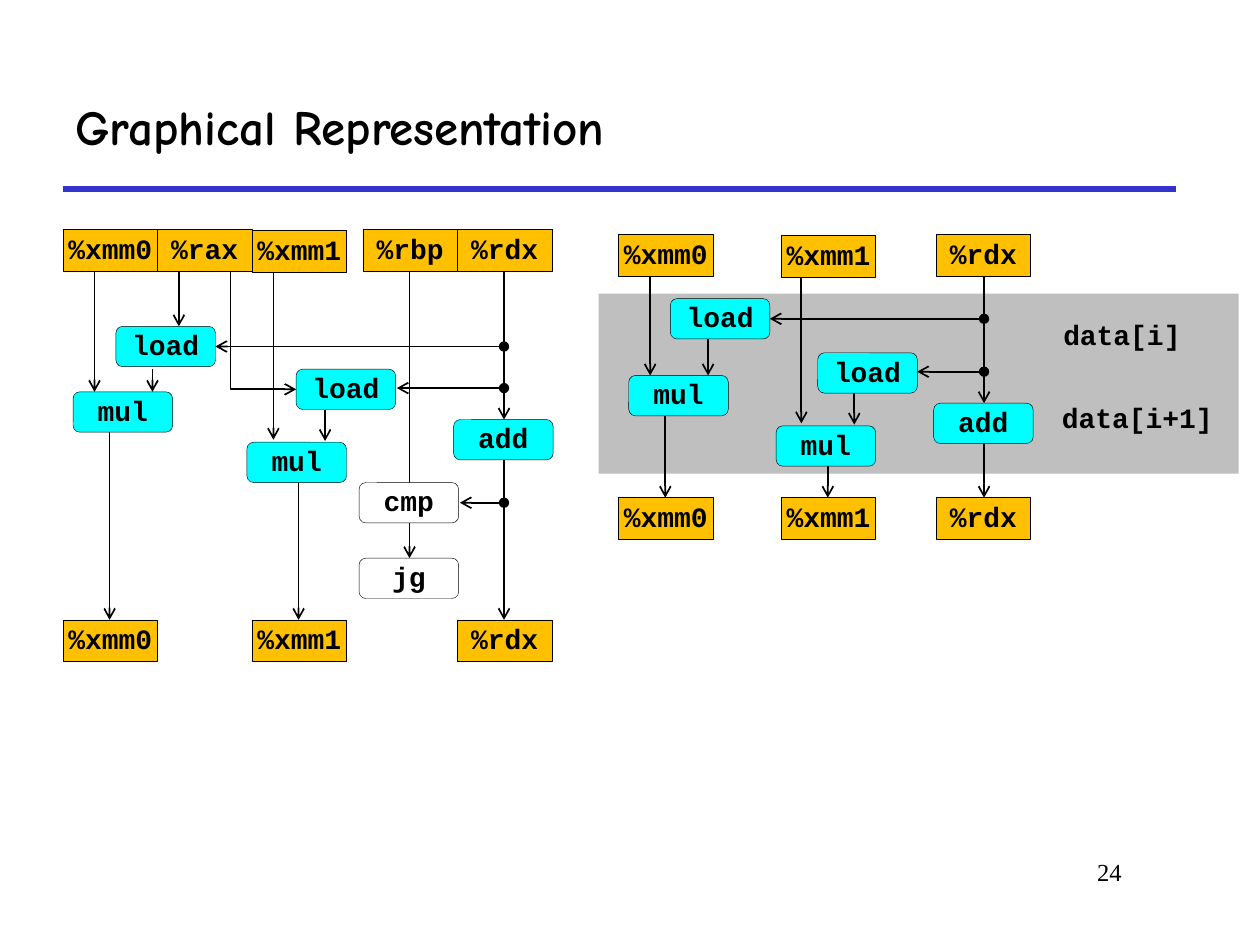
from lxml import etree
from pptx import Presentation
from pptx.dml.color import RGBColor
from pptx.enum import shapes, text
from pptx.oxml import ns
from pptx.util import Inches, Pt

BLACK = RGBColor(0x00, 0x00, 0x00)
WHITE = RGBColor(0xFF, 0xFF, 0xFF)
BLUE = RGBColor(0x33, 0x33, 0xCC)
GRAY = RGBColor(0xBF, 0xBF, 0xBF)
GOLD = RGBColor(0xFF, 0xC0, 0x00)
CYAN = RGBColor(0x00, 0xFF, 0xFF)
RECT = shapes.MSO_SHAPE.RECTANGLE
ROUND = shapes.MSO_SHAPE.ROUNDED_RECTANGLE
LINE = shapes.MSO_CONNECTOR.STRAIGHT
ELBOW = shapes.MSO_CONNECTOR.ELBOW
LEFT, MID, RIGHT = text.PP_ALIGN.LEFT, text.PP_ALIGN.CENTER, text.PP_ALIGN.RIGHT

deck = Presentation()
deck.slide_width, deck.slide_height = Inches(10), Inches(7.5)
slide = deck.slides.add_slide(deck.slide_layouts[6])


def link(x1, y1, x2, y2, ends="", kind=LINE, color=BLACK, width=1):
    wire = slide.shapes.add_connector(
        kind, Inches(x1), Inches(y1), Inches(x2), Inches(y2))
    wire.line.color.rgb = color
    wire.line.width = Pt(width)
    stroke = wire.line._get_or_add_ln()
    if "o" in ends:
        etree.SubElement(stroke, ns.qn("a:headEnd"), type="oval")
    if ">" in ends:
        etree.SubElement(stroke, ns.qn("a:tailEnd"), type="arrow")
    etree.SubElement(wire._element.spPr, ns.qn("a:effectLst"))
    return wire


def write(shape, words, font="Courier New", size=16, bold=True, align=LEFT, space=0.9):
    para = shape.text_frame.paragraphs[0]
    para.text = words
    para.alignment = align
    para.line_spacing = space
    para.font.name = font
    para.font.size = Pt(size)
    para.font.bold = bold
    para.font.color.rgb = BLACK


link(0.5, 1.5, 9.33, 1.5, color=BLUE, width=3)

panel = slide.shapes.add_shape(RECT, Inches(4.75), Inches(2.33), Inches(5.08), Inches(1.43))
panel.shadow.inherit = False
panel.fill.solid()
panel.fill.fore_color.rgb = GRAY
panel.line.fill.background()

for words, x, y, w in [("data[i]", 8.34, 2.5, 1.21), ("data[i+1]", 8.33, 3.16, 1.46)]:
    note = slide.shapes.add_textbox(Inches(x), Inches(y), Inches(w), Inches(0.34))
    note.text_frame.auto_size = text.MSO_AUTO_SIZE.SHAPE_TO_FIT_TEXT
    write(note, words)

title = slide.shapes.add_textbox(Inches(0.5), Inches(0.5), Inches(8.83), Inches(1))
title.text_frame.word_wrap = True
title.text_frame.vertical_anchor = text.MSO_ANCHOR.MIDDLE
write(title, "Graphical Representation", "Comic Neue", 28, space=1)

page = slide.shapes.add_textbox(Inches(7.58), Inches(6.75), Inches(1.42), Inches(0.5))
page.text_frame.word_wrap = True
write(page, "24", "Times New Roman", 14, False, RIGHT, 1)

wires = [
    (0.75, 2.15, 0.75, 3.11, ">"), (1.42, 2.15, 1.42, 2.59, ">"),
    (1.21, 2.93, 1.21, 3.11, ">"), (0.87, 3.43, 0.87, 4.92, ">"),
    (2.17, 2.15, 2.17, 3.49, ">"), (2.58, 3.25, 2.58, 3.5, ">"),
    (2.37, 3.76, 2.37, 4.92, ">"), (3.25, 2.15, 3.25, 3.83, ""),
    (3.25, 4.15, 3.25, 4.43, ">"), (4, 2.15, 4, 3.33, ">"),
    (4, 3.65, 4, 4.92, ">"), (4, 2.75, 1.71, 2.75, "o>"),
    (4, 3.08, 3.15, 3.08, "o>"), (4, 3.99, 3.65, 3.99, "o>"),
    (5.16, 2.2, 5.16, 2.98, ">"), (5.62, 2.69, 5.62, 2.98, ">"),
    (5.28, 3.12, 5.28, 3.95, ">"), (6.36, 2.2, 6.36, 3.36, ">"),
    (6.78, 3.11, 6.78, 3.37, ">"), (6.57, 3.53, 6.57, 3.95, ">"),
    (7.81, 2.2, 7.81, 3.2, ">"), (7.81, 3.52, 7.81, 3.95, ">"),
    (7.81, 2.53, 6.11, 2.53, "o>"), (7.81, 2.95, 7.28, 2.95, "o>"),
]
for wire in wires:
    link(*wire)

bend = link(1.62, 2.36, 2.56, 2.88, ">", ELBOW)
bend._element.spPr.find(ns.qn("a:prstGeom")).set("prst", "bentConnector2")
frame = bend._element.spPr.find(ns.qn("a:xfrm"))
frame.set("rot", str(270 * 60000))
frame.set("flipH", "1")

regs = [
    ("%xmm0", 0.5, 1.82), ("%rax", 1.25, 1.82), ("%xmm1", 2, 1.83),
    ("%rbp", 2.88, 1.82), ("%rdx", 3.63, 1.82),
    ("%xmm0", 0.5, 4.92), ("%xmm1", 2, 4.92), ("%rdx", 3.63, 4.92),
    ("%xmm0", 4.91, 1.86), ("%xmm1", 6.2, 1.87), ("%rdx", 7.43, 1.86),
    ("%xmm0", 4.91, 3.95), ("%xmm1", 6.2, 3.95), ("%rdx", 7.43, 3.95),
]
steps = [
    ("load", 0.92, 2.59), ("mul", 0.58, 3.11), ("load", 2.35, 2.93),
    ("mul", 1.96, 3.51), ("add", 3.6, 3.33),
    ("load", 5.32, 2.37), ("mul", 4.99, 2.98), ("load", 6.49, 2.8),
    ("mul", 6.16, 3.38), ("add", 7.41, 3.2),
]
tests = [("cmp", 2.85, 3.83), ("jg", 2.85, 4.43)]
groups = [
    (regs, RECT, GOLD, 0.75, 0.33),
    (steps, ROUND, CYAN, 0.79, 0.32),
    (tests, ROUND, WHITE, 0.79, 0.32),
]
for nodes, form, color, w, h in groups:
    for words, x, y in nodes:
        box = slide.shapes.add_shape(form, Inches(x), Inches(y), Inches(w), Inches(h))
        box.shadow.inherit = False
        box.fill.solid()
        box.fill.fore_color.rgb = color
        box.line.color.rgb = BLACK
        box.line.width = Pt(0.25)
        body = box.text_frame
        body.margin_left = body.margin_right = body.margin_top = body.margin_bottom = 0
        body.vertical_anchor = text.MSO_ANCHOR.MIDDLE
        write(box, words, align=MID)

deck.save("out.pptx")
